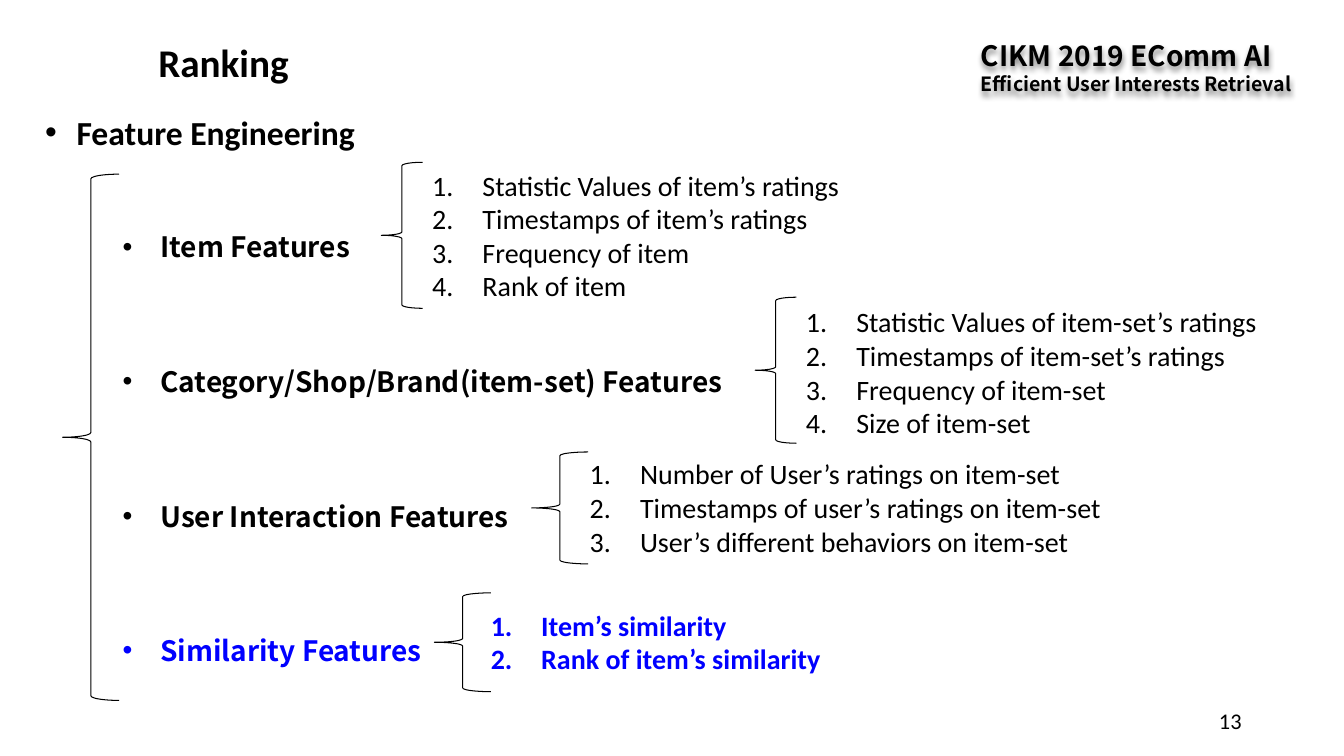
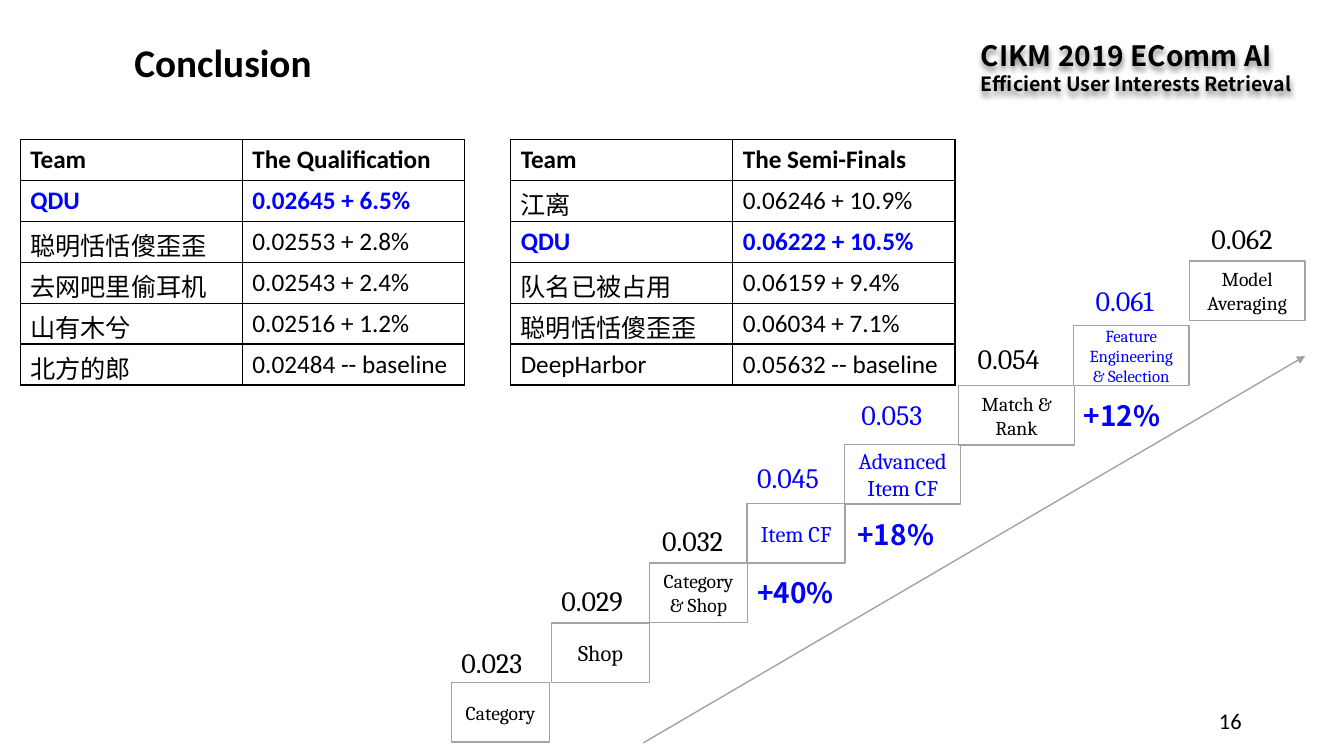
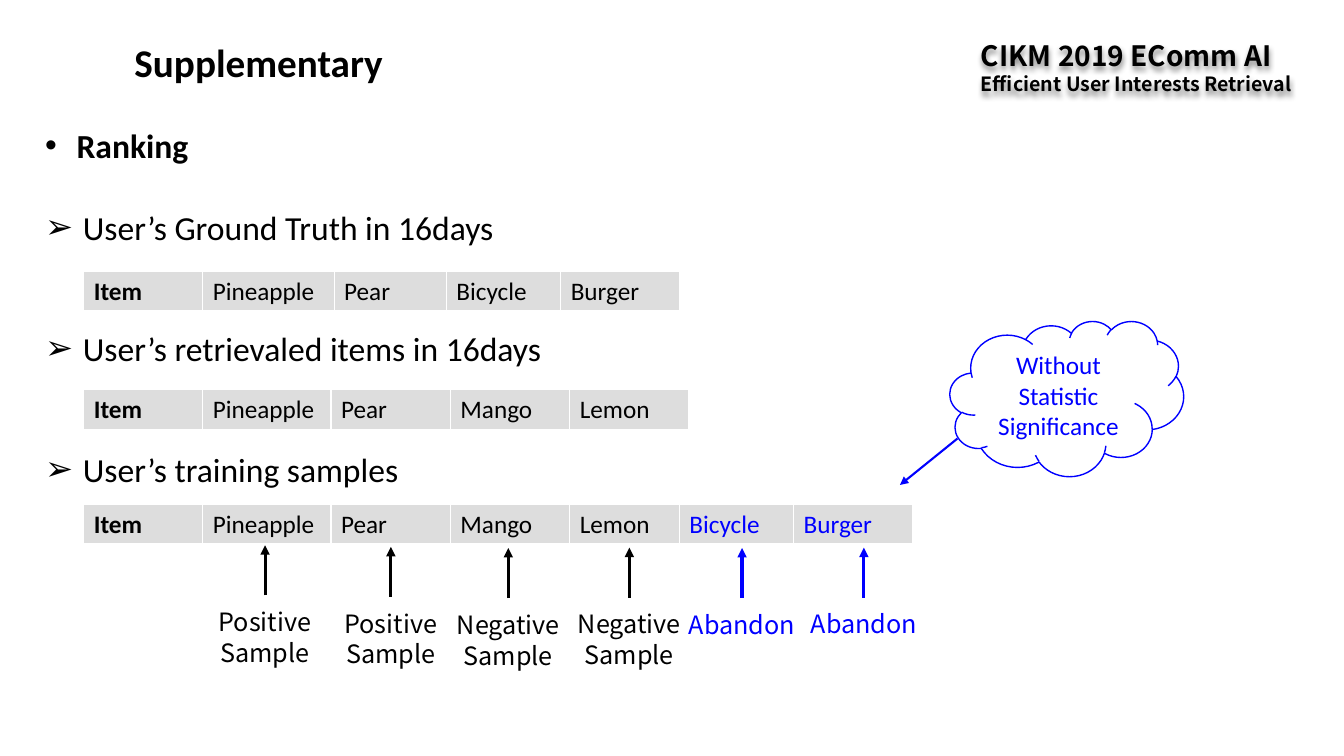
import pptx
import pptx.dml.color
import pptx.enum.shapes
import pptx.enum.text
import pptx.oxml.ns
import pptx.util
from lxml import etree
from pptx.util import Cm, Pt

BLACK = pptx.dml.color.RGBColor(0x00, 0x00, 0x00)
WHITE = pptx.dml.color.RGBColor(0xFF, 0xFF, 0xFF)
BLUE = pptx.dml.color.RGBColor(0x00, 0x00, 0xFF)
GREY = pptx.dml.color.RGBColor(0xA3, 0xA3, 0xA3)
CELL_GREY = pptx.dml.color.RGBColor(0xDD, 0xDD, 0xDD)
BODY, SERIF, SANS = "Calibri", "Cambria", "Noto Sans CJK SC"
LEFT, CENTER, RIGHT = (pptx.enum.text.PP_ALIGN.LEFT, pptx.enum.text.PP_ALIGN.CENTER,
                       pptx.enum.text.PP_ALIGN.RIGHT)
MIDDLE = pptx.enum.text.MSO_ANCHOR.MIDDLE
SHAPE = pptx.enum.shapes.MSO_SHAPE
qn = pptx.oxml.ns.qn


def write_text(shape, lines, size, color=BLACK, font=BODY, bold=False,
               align=LEFT, marker=None, indent=0):
    """Fill a shape or cell with lines; marker is a bullet character or "1." for numbers."""
    frame = shape.text_frame
    frame.word_wrap = True
    frame.text = "\n".join(lines)
    for paragraph in frame.paragraphs:
        paragraph.alignment = align
        if font == SANS:
            paragraph.line_spacing = Pt(round(size * 1.22))
        for run in paragraph.runs:
            run.font.size = Pt(size)
            run.font.name = font
            run.font.bold = bold
            run.font.color.rgb = color
        if marker:
            properties = paragraph._p.get_or_add_pPr()
            properties.set("marL", str(Cm(indent)))
            properties.set("indent", str(-Cm(indent)))
            if marker == "1.":
                etree.SubElement(properties, qn("a:buAutoNum"), type="arabicPeriod")
            else:
                etree.SubElement(properties, qn("a:buFont"), typeface="Arial")
                etree.SubElement(properties, qn("a:buChar"), char=marker)


def add_grid(slide, left, top, widths, rows, fill, border, bottom_width=1):
    """Add a table; each cell of rows is (text, color, bold)."""
    row_height = 1.03
    table = slide.shapes.add_table(len(rows), len(widths), Cm(left), Cm(top),
                                   Cm(sum(widths)), Cm(row_height * len(rows))).table
    table.first_row = table.horz_banding = False
    for column, width in zip(table.columns, widths):
        column.width = Cm(width)
    for row, cells in zip(table.rows, rows):
        row.height = Cm(row_height)
        for cell, (text, color, bold) in zip(row.cells, cells):
            write_text(cell, [text], 18, color, bold=bold)
            cell.fill.solid()
            cell.fill.fore_color.rgb = fill
            properties = cell._tc.get_or_add_tcPr()
            for position, side in enumerate(("lnL", "lnR", "lnT", "lnB")):
                width = bottom_width if side == "lnB" else 1
                edge = etree.Element(qn("a:" + side), w=str(Pt(width)))
                paint = etree.SubElement(edge, qn("a:solidFill"))
                etree.SubElement(paint, qn("a:srgbClr"), val=str(border))
                properties.insert(position, edge)


presentation = pptx.Presentation()
presentation.slide_width = Cm(33.87)
presentation.slide_height = Cm(19.05)

# Shared title, event name and page number
slides = []
for title, title_left, page in (("Ranking", 3.74, "13"), ("Conclusion", 3.14, "16"),
                                ("Supplementary", 3.14, None)):
    slide = presentation.slides.add_slide(presentation.slide_layouts[6])
    slides.append(slide)
    box = slide.shapes.add_textbox(Cm(title_left), Cm(0.84), Cm(16.8), Cm(1.45))
    write_text(box, [title], 28, bold=True)

    event = slide.shapes.add_textbox(Cm(24.47), Cm(0.84), Cm(8.9), Cm(1.7))
    write_text(event, ["CIKM 2019 EComm AI", "Efficient User Interests Retrieval"],
               20, font=SANS, bold=True)
    subtitle = event.text_frame.paragraphs[1]
    subtitle.line_spacing = Pt(17)
    subtitle.runs[0].font.size = Pt(14)
    effects = etree.SubElement(event._element.spPr, qn("a:effectLst"))
    shadow = etree.SubElement(effects, qn("a:outerShdw"), blurRad=str(Pt(4)),
                              dist=str(Pt(3)), dir="5400000", algn="t")
    shade = etree.SubElement(shadow, qn("a:srgbClr"), val=str(BLACK))
    etree.SubElement(shade, qn("a:alpha"), val="45000")

    if page:
        box = slide.shapes.add_textbox(Cm(23.92), Cm(17.65), Cm(7.62), Cm(1.02))
        box.text_frame.vertical_anchor = MIDDLE
        write_text(box, [page], 16, align=RIGHT)
ranking, conclusion, supplementary = slides

# Section headings
for slide, top, text in ((ranking, 2.69, "Feature Engineering"),
                         (supplementary, 3.02, "Ranking")):
    box = slide.shapes.add_textbox(Cm(0.89), Cm(top), Cm(30.89), Cm(1.27))
    write_text(box, [text], 24, bold=True, marker="•", indent=0.79)

# Ranking: feature tree
braces = [(1.58, 4.39, 1.42, 13.26, 0.083)]
features = (
    ("Item Features", BLACK, (9.61, 4.09, 1.04, 3.68, 0.083), (10.64, 4.11),
     ["Statistic Values of item’s ratings", "Timestamps of item’s ratings",
      "Frequency of item", "Rank of item"]),
    ("Category/Shop/Brand(item-set) Features", BLACK, (19.03, 7.49, 1.04, 3.68, 0.083),
     (20.06, 7.56),
     ["Statistic Values of item-set’s ratings", "Timestamps of item-set’s ratings",
      "Frequency of item-set", "Size of item-set"]),
    ("User Interaction Features", BLACK, (13.4, 11.39, 1.42, 2.82, 0.067), (14.61, 11.39),
     ["Number of User’s ratings on item-set", "Timestamps of user’s ratings on item-set",
      "User’s different behaviors on item-set"]),
    ("Similarity Features", BLUE, (10.95, 14.94, 1.42, 2.49, 0.067), (12.12, 15.2),
     ["Item’s similarity", "Rank of item’s similarity"]),
)
for index, (label, color, brace, (left, top), items) in enumerate(features):
    box = ranking.shapes.add_textbox(Cm(2.84), Cm(5.67 + 3.39 * index), Cm(16.2), Cm(1.1))
    write_text(box, [label], 20, color, SANS, True, marker="•", indent=0.95)
    box = ranking.shapes.add_textbox(Cm(left), Cm(top), Cm(13.7), Cm(0.25 + 0.86 * len(items)))
    write_text(box, items, 20, color, bold=color == BLUE, marker="1.", indent=1.27)
    braces.append(brace)
for left, top, width, height, curve in braces:
    shape = ranking.shapes.add_shape(SHAPE.LEFT_BRACE, Cm(left), Cm(top), Cm(width), Cm(height))
    shape.shadow.inherit = False
    shape.adjustments[0] = curve
    shape.fill.background()
    shape.line.color.rgb = BLACK
    shape.line.width = Pt(0.75)

# Conclusion: staircase of scores
steps = (  # label, size, color, left, top, score, offset and rise of the score
    ("Category", 14, BLACK, 11.38, 17.2, "0.023", 0, 1.07),
    ("Shop", 16, BLACK, 13.9, 15.7, "0.029", 0, 1.12),
    ("Category & Shop", 14, BLACK, 16.37, 14.19, "0.032", 0.07, 1.12),
    ("Item CF", 16, BLUE, 18.83, 12.69, "0.045", 0, 1.2),
    ("Advanced Item CF", 16, BLUE, 21.29, 11.2, "0.053", 0.17, 1.32),
    ("Match & Rank", 14, BLACK, 24.16, 9.72, "0.054", 0.23, 1.24),
    ("Feature Engineering & Selection", 12, BLUE, 27.05, 8.21, "0.061", 0.31, 1.19),
    ("Model Averaging", 14, BLACK, 29.97, 6.58, "0.062", 0.31, 1.12),
)
for index, (label, size, color, left, top, score, offset, rise) in enumerate(steps):
    width = 2.47 if index < 4 else 2.92
    shape = conclusion.shapes.add_shape(SHAPE.RECTANGLE, Cm(left), Cm(top), Cm(width), Cm(1.5))
    shape.shadow.inherit = False
    shape.fill.background()
    shape.line.color.rgb = GREY
    shape.line.width = Pt(1)
    shape.text_frame.vertical_anchor = MIDDLE
    write_text(shape, [label], size, color, SERIF, align=CENTER)
    box = conclusion.shapes.add_textbox(Cm(left + offset), Cm(top - rise), Cm(2.31), Cm(1.12))
    write_text(box, [score], 20, color, SERIF)

for gain, left, top in (("+40%", 18.83, 14.37), ("+18%", 21.36, 12.91), ("+12%", 27.06, 9.91)):
    box = conclusion.shapes.add_textbox(Cm(left), Cm(top), Cm(2.59), Cm(1.12))
    write_text(box, [gain], 20, BLUE, SANS, True)

# Conclusion: leaderboards
leaderboards = (
    (0.51, (("Team", "The Qualification"), ("QDU", "0.02645 + 6.5%"),
            ("聪明恬恬傻歪歪", "0.02553 + 2.8%"), ("去网吧里偷耳机", "0.02543 + 2.4%"),
            ("山有木兮", "0.02516 + 1.2%"), ("北方的郎", "0.02484 -- baseline"))),
    (12.87, (("Team", "The Semi-Finals"), ("江离", "0.06246 + 10.9%"),
             ("QDU", "0.06222 + 10.5%"), ("队名已被占用", "0.06159 + 9.4%"),
             ("聪明恬恬傻歪歪", "0.06034 + 7.1%"), ("DeepHarbor", "0.05632 -- baseline"))),
)
for left, results in leaderboards:
    rows = [[(text, BLUE if result[0] == "QDU" else BLACK, result[0] in ("Team", "QDU"))
             for text in result] for result in results]
    add_grid(conclusion, left, 3.52, (5.6, 5.6), rows, WHITE, BLACK)

# Supplementary: captions and item lists
captions = ("User’s Ground Truth in 16days", "User’s retrievaled items in 16days",
            "User’s training samples")
for index, caption in enumerate(captions):
    box = supplementary.shapes.add_textbox(Cm(0.89), Cm(5.08 + 3.05 * index), Cm(30.89), Cm(1.27))
    write_text(box, [caption], 24, marker="➢", indent=0.95)

retrieved = ("Item", "Pineapple", "Pear", "Mango", "Lemon")
retrieved_widths = (3, 3.23, 3.01, 3.01, 3)
item_lists = (
    (2.11, 6.83, (3, 3.31, 2.83, 2.88, 3), ("Item", "Pineapple", "Pear", "Bicycle", "Burger"),
     BLACK),
    (2.11, 9.82, retrieved_widths, retrieved, BLACK),
    (2.11, 12.7, retrieved_widths, retrieved, BLACK),
    (17.12, 12.7, (2.88, 3), ("Bicycle", "Burger"), BLUE),
)
for left, top, widths, items, color in item_lists:
    cells = [(item, color, item == "Item") for item in items]
    add_grid(supplementary, left, top, widths, [cells], CELL_GREY, WHITE, bottom_width=3)

cloud = supplementary.shapes.add_shape(SHAPE.CLOUD, Cm(23.94), Cm(8.09), Cm(5.89), Cm(3.91))
cloud.shadow.inherit = False
cloud.fill.solid()
cloud.fill.fore_color.rgb = WHITE
cloud.line.color.rgb = BLUE
cloud.line.width = Pt(1)
cloud.text_frame.vertical_anchor = MIDDLE
write_text(cloud, ["Without", "Statistic Significance"], 18, BLUE, align=CENTER)

# Arrows: slide, start, end, color, width
arrows = [(conclusion, (16.21, 18.72), (32.89, 8.97), GREY, 1),
          (supplementary, (24.13, 11.05), (22.68, 12.22), BLUE, 1.5)]
positive, negative, abandon = ["Positive", "Sample"], ["Negative", "Sample"], ["Abandon"]
samples = ((6.68, 13.74, positive), (9.85, 13.78, positive), (12.81, 13.81, negative),
           (15.86, 13.8, negative), (18.7, 13.81, abandon), (21.77, 13.8, abandon))
for center, tip, lines in samples:
    color = BLUE if lines == abandon else BLACK
    box = supplementary.shapes.add_textbox(Cm(center - 1.65), Cm(tip + 1.4), Cm(3.3), Cm(1.8))
    write_text(box, lines, 18, color, SANS, align=CENTER)
    arrows.append((supplementary, (center, tip + 1.26), (center, tip), color, 2.25))
for slide, start, end, color, width in arrows:
    arrow = slide.shapes.add_connector(pptx.enum.shapes.MSO_CONNECTOR.STRAIGHT,
                                       *map(Cm, start + end))
    arrow.line.color.rgb = color
    arrow.line.width = Pt(width)
    etree.SubElement(arrow.line._get_or_add_ln(), qn("a:tailEnd"), type="triangle")
    etree.SubElement(arrow._element.spPr, qn("a:effectLst"))

presentation.save("out.pptx")
